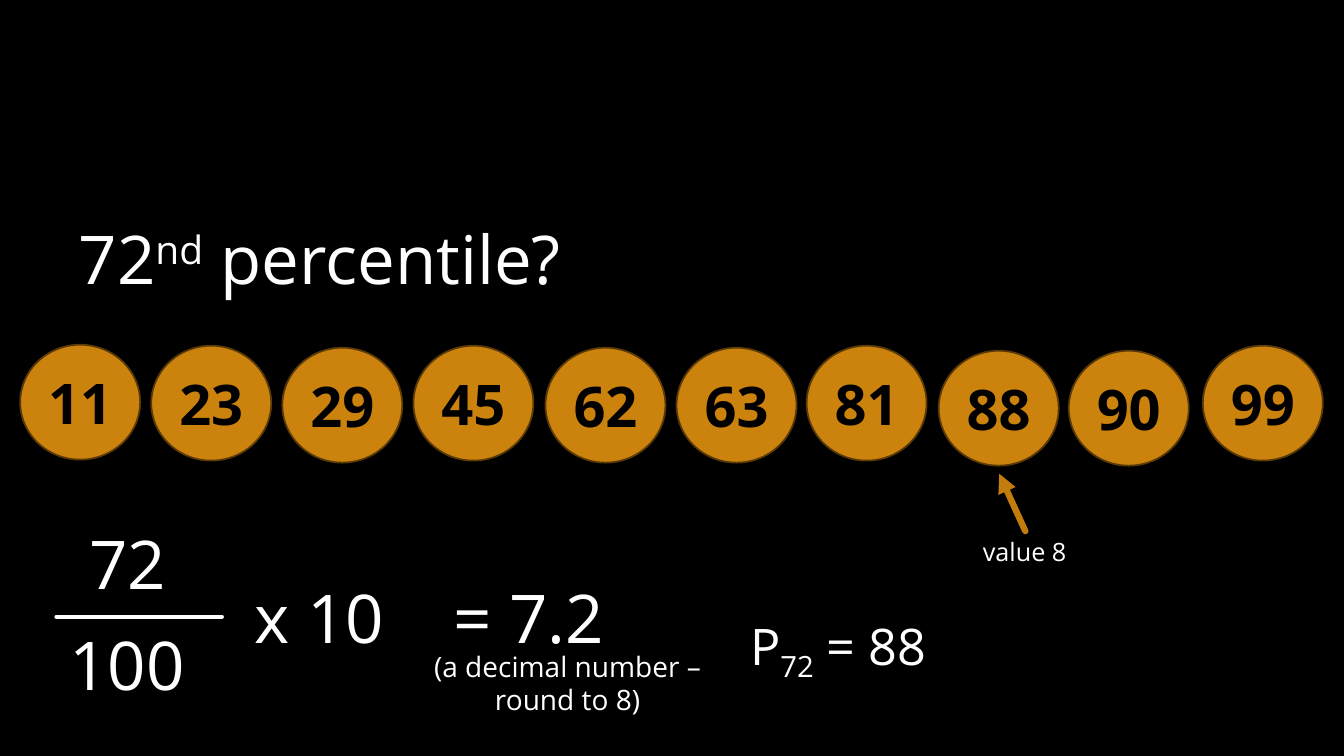
from dataclasses import dataclass

from lxml.etree import SubElement
from pptx import Presentation
from pptx.dml.color import RGBColor
from pptx.enum.shapes import MSO_CONNECTOR, MSO_SHAPE
from pptx.enum.text import MSO_ANCHOR, MSO_AUTO_SIZE, PP_ALIGN
from pptx.oxml.ns import qn
from pptx.slide import Slide
from pptx.util import Emu, Pt

FONT = "Open Sans"
WHITE, BLACK = "FFFFFF", "000000"
GOLD, BROWN, AMBER = "CC830E", "593906", "C37D0D"
BALL_W, BALL_H = 119, 114


@dataclass
class Ball:
    value: int
    left: int
    top: int


@dataclass
class Part:
    text: str
    base: int = 0  # raised or lowered, in percent


@dataclass
class Label:
    left: int
    top: int
    width: int
    height: int
    size: int
    lines: list[list[Part]]
    wrap: bool = False
    align: PP_ALIGN = PP_ALIGN.LEFT


@dataclass
class Stroke:
    start: tuple[int, int]
    end: tuple[int, int]
    color: str
    width: float
    arrow: bool = False


BALLS = [
    Ball(11, 20, 342), Ball(23, 150, 343), Ball(29, 280, 345),
    Ball(45, 410, 343), Ball(62, 541, 345), Ball(63, 671, 345),
    Ball(81, 800, 343), Ball(88, 931, 348), Ball(90, 1060, 348),
    Ball(99, 1193, 343),
]

TITLE = Label(68, 211, 513, 91, 48,
              [[Part("72"), Part("nd", 30), Part(" percentile?")]])

LABELS = [
    Label(79, 513, 97, 91, 48, [[Part("72")]]),
    Label(59, 613, 136, 91, 48, [[Part("100")]]),
    Label(243, 567, 150, 91, 48, [[Part("x 10")]]),
    Label(440, 567, 171, 91, 48, [[Part("= 7.2")]]),
    Label(410, 639, 306, 77, 20,
          [[Part("(a decimal number –")], [Part("round to 8)")]],
          True, PP_ALIGN.CENTER),
    Label(965, 527, 104, 40, 18, [[Part("value 8")]]),
    Label(734, 605, 215, 71, 36,
          [[Part("P"), Part("72", -25), Part(" = 88")]]),
]

STROKES = [
    Stroke((56, 612), (220, 612), WHITE, 3),
    Stroke((1017, 527), (991, 470), AMBER, 4.5, True),
]


def px(count: int) -> Emu:
    return Emu(count * 9144)


def paint(target, color: str) -> None:
    """Give a fill or a font one solid colour."""
    if hasattr(target, "solid"):
        target.solid()
        target.fore_color.rgb = RGBColor.from_string(color)
    else:
        target.color.rgb = RGBColor.from_string(color)


def style(font, size: int, color: str, bold: bool = False) -> None:
    font.name = FONT
    font.size = Pt(size)
    font.bold = bold
    paint(font, color)


def write(shape, label: Label) -> None:
    """Place a text shape and fill it with the label's lines."""
    shape.left, shape.top = px(label.left), px(label.top)
    shape.width, shape.height = px(label.width), px(label.height)
    frame = shape.text_frame
    frame.word_wrap = label.wrap
    frame.auto_size = MSO_AUTO_SIZE.SHAPE_TO_FIT_TEXT
    frame.vertical_anchor = MSO_ANCHOR.TOP
    frame.text = "\n".join("" for _ in label.lines)
    for para, parts in zip(frame.paragraphs, label.lines):
        para.alignment = label.align
        for part in parts:
            run = para.add_run()
            run.text = part.text
            style(run.font, label.size, WHITE)
            if part.base:
                run._r.get_or_add_rPr().set("baseline", str(part.base * 1000))


def draw_label(slide: Slide, label: Label) -> None:
    write(slide.shapes.add_textbox(0, 0, 0, 0), label)


def draw_ball(slide: Slide, ball: Ball) -> None:
    shape = slide.shapes.add_shape(
        MSO_SHAPE.OVAL, px(ball.left), px(ball.top), px(BALL_W), px(BALL_H))
    shape.shadow.inherit = False
    paint(shape.fill, GOLD)
    paint(shape.line, BROWN)
    shape.line.width = Pt(1.25)
    frame = shape.text_frame
    frame.text = str(ball.value)
    frame.vertical_anchor = MSO_ANCHOR.MIDDLE
    para = frame.paragraphs[0]
    para.alignment = PP_ALIGN.CENTER
    style(para.runs[0].font, 40, BLACK, True)


def draw_stroke(slide: Slide, stroke: Stroke) -> None:
    line = slide.shapes.add_connector(
        MSO_CONNECTOR.STRAIGHT, *map(px, stroke.start + stroke.end))
    paint(line.line, stroke.color)
    line.line.width = Pt(stroke.width)
    edge = line.get_or_add_ln()
    edge.set("cap", "rnd")
    if stroke.arrow:
        SubElement(edge, qn("a:tailEnd"), type="triangle")
    SubElement(line._element.spPr, qn("a:effectLst"))


def main() -> None:
    deck = Presentation()
    deck.slide_width, deck.slide_height = px(1333), px(750)
    slide = deck.slides.add_slide(deck.slide_layouts.get_by_name("Title Only"))
    paint(slide.background.fill, BLACK)

    # Question
    write(slide.shapes.title, TITLE)

    # Row of ordered values
    for ball in BALLS:
        draw_ball(slide, ball)

    # Working and answer
    for label in LABELS:
        draw_label(slide, label)

    # Fraction bar and pointer
    for stroke in STROKES:
        draw_stroke(slide, stroke)

    deck.save("out.pptx")


if __name__ == "__main__":
    main()
